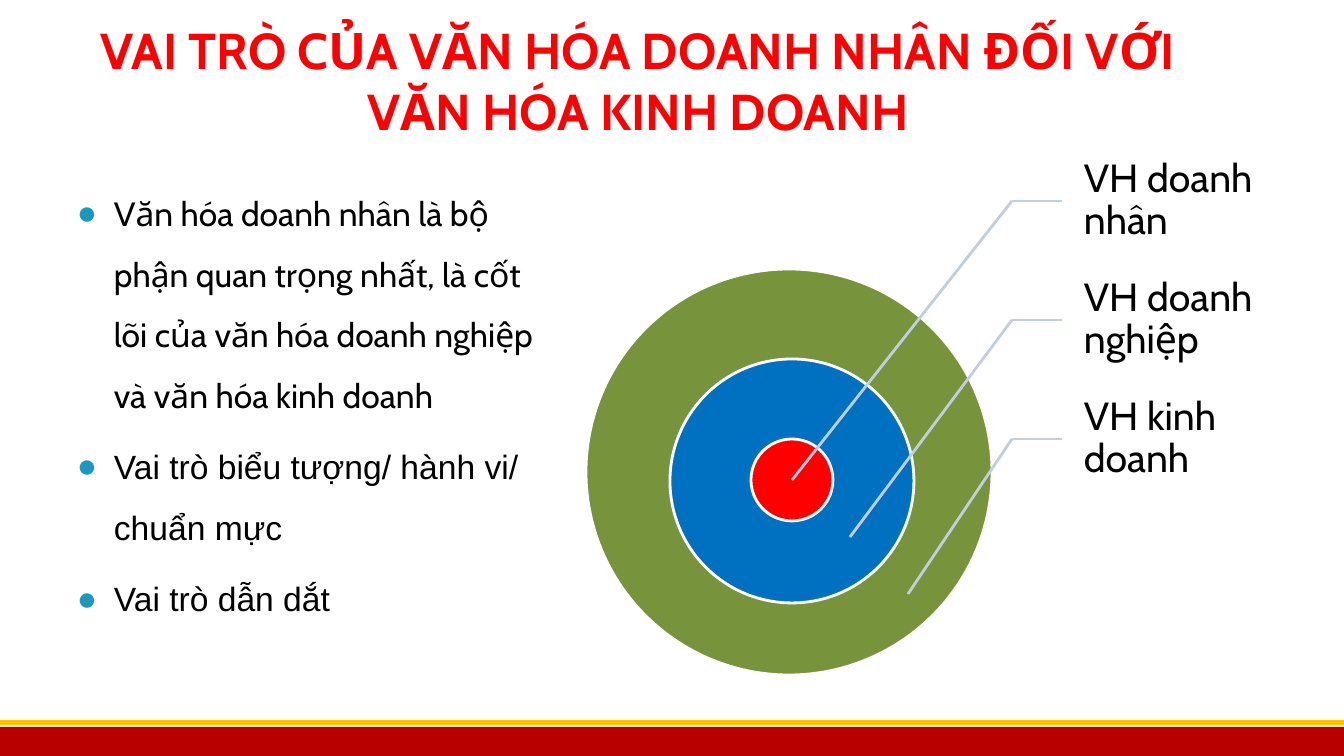
from dataclasses import dataclass

from lxml import etree
from pptx import Presentation
from pptx.dml.color import RGBColor
from pptx.enum.shapes import MSO_CONNECTOR, MSO_SHAPE
from pptx.enum.text import MSO_ANCHOR, PP_ALIGN
from pptx.oxml.ns import qn
from pptx.util import Emu, Pt

RECT, OVAL = MSO_SHAPE.RECTANGLE, MSO_SHAPE.OVAL
STRAIGHT = MSO_CONNECTOR.STRAIGHT
TOP, MIDDLE = MSO_ANCHOR.TOP, MSO_ANCHOR.MIDDLE
LEFT, CENTER = PP_ALIGN.LEFT, PP_ALIGN.CENTER
LEFT_SIDE = 1


@dataclass(frozen=True)
class Theme:
    red: str = "FF0000"
    blue: str = "0070C0"
    green: str = "77933C"
    white: str = "FFFFFF"
    black: str = "000000"
    footer: str = "B80000"
    gold: str = "FFC000"
    bullet: str = "1A98C0"
    leader: str = "C2CDE1"
    title_size: int = 36
    body_size: int = 24
    label_size: int = 28
    line_width: int = 2
    font: str = "Cabin"
    alt_font: str = "Arial"


T = Theme()


def px(n):
    return Emu(round(n * 914400 / 100.8))


def rgb(color):
    return RGBColor.from_string(color)


def add_shape(s, kind, box, fill, line=None):
    sp = s.shapes.add_shape(kind, *map(px, box))
    sp.shadow.inherit = False
    sp.fill.solid()
    sp.fill.fore_color.rgb = rgb(fill)
    if line:
        sp.line.color.rgb = rgb(line)
        sp.line.width = Pt(T.line_width)
    else:
        sp.line.fill.background()
    return sp


def add_line(s, start, end):
    cx = s.shapes.add_connector(STRAIGHT, *map(px, start + end))
    cx.line.color.rgb = rgb(T.leader)
    cx.line.width = Pt(T.line_width)
    etree.SubElement(cx._element.spPr, qn("a:effectLst"))
    return cx


def add_text_box(s, box, anchor, insets=(10, 5, 10, 5)):
    sp = s.shapes.add_textbox(*map(px, box))
    tf = sp.text_frame
    tf.word_wrap = True
    tf.vertical_anchor = anchor
    tf.margin_left, tf.margin_top, tf.margin_right, tf.margin_bottom = map(px, insets)
    return sp


def add_run(p, text, size, color, font, bold=False):
    r = p.add_run()
    r.text = text
    r.font.size = Pt(size)
    r.font.color.rgb = rgb(color)
    r.font.name = font
    r.font.bold = bold


def add_bullet(p, indent):
    pPr = p._p.get_or_add_pPr()
    pPr.set("marL", str(px(indent)))
    pPr.set("indent", str(-px(indent)))
    color = etree.SubElement(pPr, qn("a:buClr"))
    etree.SubElement(color, qn("a:srgbClr"), val=T.bullet)
    etree.SubElement(pPr, qn("a:buFont"), typeface=T.alt_font)
    etree.SubElement(pPr, qn("a:buChar"), char="●")


def add_footer(s, box):
    x, y, w, h = box
    add_shape(s, RECT, (x, y + 7, w, h - 7), T.footer)
    add_shape(s, RECT, (x, y, w, 5), T.gold)


def add_title(s, box, text):
    p = add_text_box(s, box, MIDDLE).text_frame.paragraphs[0]
    p.alignment = CENTER
    add_run(p, text, T.title_size, T.red, T.font, bold=True)


def add_points(s, box, points):
    tf = add_text_box(s, box, TOP).text_frame
    for i, (text, font) in enumerate(points):
        p = tf.add_paragraph() if i else tf.paragraphs[0]
        add_bullet(p, 37)
        p.alignment = LEFT
        p.line_spacing = 1.5
        if i:
            p.space_before = Pt(8)
        add_run(p, text, T.body_size, T.black, font)


def add_target(s, box, labels):
    x, y, w, h = box
    rings = [(0, 127, 406, T.green), (84, 217, 244, T.blue), (165, 297, 82, T.red)]
    for dx, dy, size, color in rings:
        add_shape(s, OVAL, (x + dx, y + dy, size, size), color, T.white)

    label_w, label_h, step = 204, 118, 119
    label_x = x + w - label_w
    elbow_x = label_x - 50
    for i, text in enumerate(labels):
        top = y + i * step
        label = add_text_box(s, (label_x, top, label_w, label_h), MIDDLE, (22, 4, 4, 4))
        p = label.text_frame.paragraphs[0]
        p.line_spacing = 0.9
        add_run(p, text, T.label_size, T.black, T.font)

        mid = top + label_h // 2
        elbow = (elbow_x, mid)
        add_line(s, elbow, (label_x, mid)).end_connect(label, LEFT_SIDE)
        add_line(s, elbow, (x + 206 + i * 58, y + 338 + i * 57))


def main():
    prs = Presentation()
    prs.slide_width, prs.slide_height = px(1344), px(756)
    s = prs.slides.add_slide(prs.slide_layouts[6])
    add_footer(s, (0, 720, 1344, 36))
    add_title(s, (67, 17, 1142, 126),
              "VAI TRÒ CỦA VĂN HÓA DOANH NHÂN ĐỐI VỚI VĂN HÓA KINH DOANH")
    add_points(s, (67, 168, 502, 521), [
        ("Văn hóa doanh nhân là bộ phận quan trọng nhất, là cốt lõi của "
         "văn hóa doanh nghiệp và văn hóa kinh doanh", T.font),
        ("Vai trò biểu tượng/ hành vi/ chuẩn mực", T.alt_font),
        ("Vai trò dẫn dắt", T.alt_font),
    ])
    add_target(s, (586, 142, 680, 533),
               ["VH doanh nhân", "VH doanh nghiệp", "VH kinh doanh"])
    prs.save("out.pptx")


if __name__ == "__main__":
    main()
